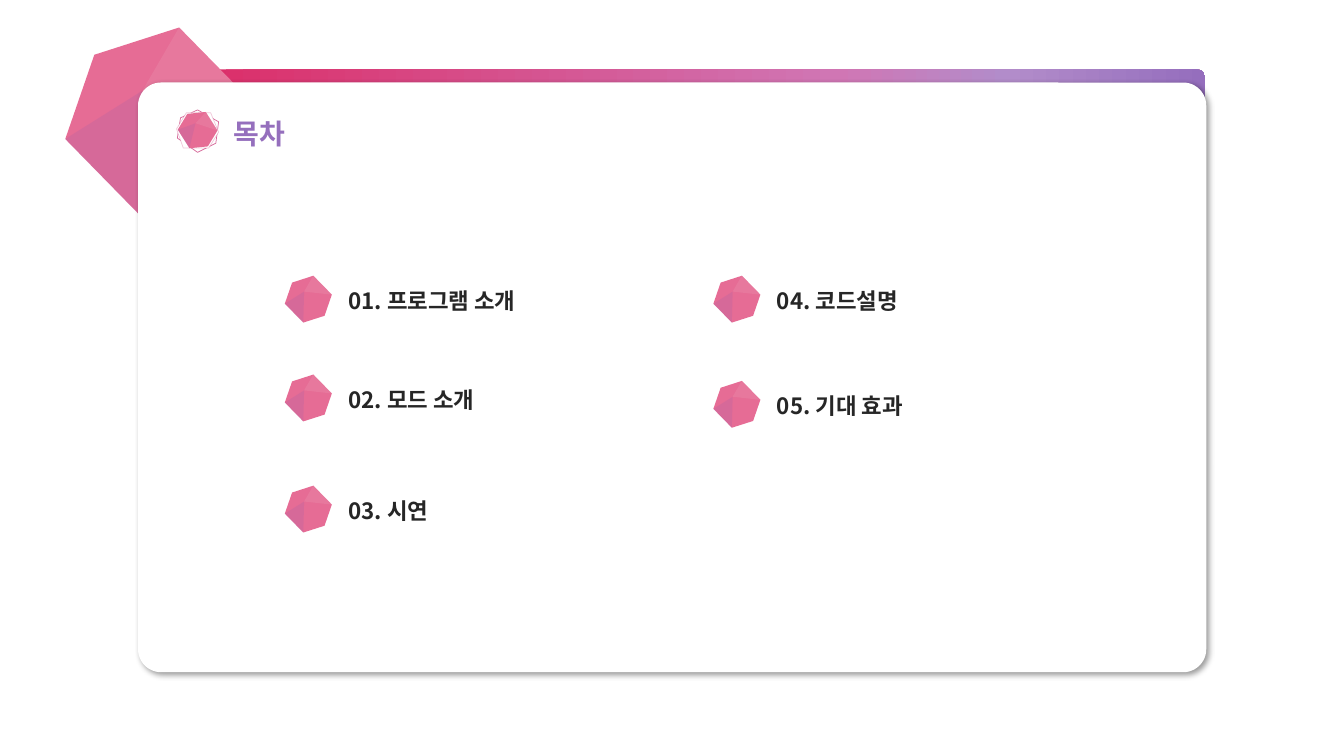
from copy import deepcopy
from dataclasses import dataclass
from math import cos, radians, sin

from lxml import etree
from pptx import Presentation
from pptx.dml.color import RGBColor
from pptx.enum.shapes import MSO_SHAPE
from pptx.enum.text import MSO_ANCHOR, MSO_AUTO_SIZE, PP_ALIGN
from pptx.oxml.ns import qn
from pptx.util import Cm, Pt

HEX = MSO_SHAPE.HEXAGON
ROUND = MSO_SHAPE.ROUNDED_RECTANGLE
TOP = MSO_ANCHOR.TOP
GROW = MSO_AUTO_SIZE.SHAPE_TO_FIT_TEXT
LEFT = PP_ALIGN.LEFT

FONT = "Noto Sans CJK KR"
PINK, LIGHT, SHADE, RIM = "E66C95", "EA86A7", "945DAD", "D7699A"
WHITE, INK, PURPLE = "FFFFFF", "262626", "956FBD"
STOPS = [(0, "DB2F6A"), (0.63, "D076B4"), (0.8, "B28CCA"), (1, "956EBD")]


@dataclass
class Gem:
    x: float
    y: float
    width: float
    turn: float = 45.6


@dataclass
class Item:
    text: str
    x: float
    y: float
    width: float


@dataclass
class Ring:
    points: list
    alpha: int


COLS = (7.77, 18.57)
ITEMS = [
    Item("01. 프로그램 소개", COLS[0], 7.54, 5.16),
    Item("02. 모드 소개", COLS[0], 10.03, 4.01),
    Item("03. 시연", COLS[0], 12.83, 2.67),
    Item("04. 코드설명", COLS[1], 7.54, 3.81),
    Item("05. 기대 효과", COLS[1], 10.19, 4.01),
]
RINGS = [
    Ring([(4.47, 3.48), (4.55, 2.97), (4.98, 2.77),
          (5.51, 3.07), (5.44, 3.61), (4.98, 3.84)], 100),
    Ring([(4.62, 3.73), (4.45, 3.25), (4.7, 2.84),
          (5.31, 2.84), (5.51, 3.33), (5.26, 3.73)], 36),
]


def paint(color, code: str, alpha: int = 100) -> None:
    """Set a colour format from a hex string and an opacity in percent."""
    color.rgb = RGBColor.from_string(code)
    if alpha < 100:
        node = color._xFill.find(qn("a:srgbClr"))
        etree.SubElement(node, qn("a:alpha"), val=str(alpha * 1000))


def style(shape, code: str, alpha: int = 100) -> None:
    """Give a shape a plain fill with no line or shadow."""
    shape.shadow.inherit = False
    shape.line.fill.background()
    shape.fill.solid()
    paint(shape.fill.fore_color, code, alpha)


def outline(shapes, points: list):
    """Draw a closed outline through points in centimetres."""
    ends = [(Cm(x), Cm(y)) for x, y in points]
    pen = shapes.build_freeform(*ends[0], scale=1.0)
    pen.add_line_segments(ends[1:], close=True)
    return pen.convert_to_shape()


def block(shapes, kind, x: float, y: float, w: float, h: float):
    return shapes.add_shape(kind, Cm(x), Cm(y), Cm(w), Cm(h))


def draw_gem(shapes, gem: Gem) -> None:
    """Draw a turned hexagon with a light and a dark facet."""
    w, h = gem.width, gem.width * 0.86
    body = block(shapes, HEX, gem.x - w / 2, gem.y - h / 2, w, h)
    body.rotation = gem.turn
    style(body, PINK)
    c, s = cos(radians(gem.turn)), sin(radians(gem.turn))
    hub, side = (-0.18 * w, -0.05 * w), w / 2 - h / 4
    for edge, code, alpha in ((-h / 2, LIGHT, 49), (h / 2, SHADE, 19)):
        spots = [hub, (-side, edge), (side, edge)]
        facet = outline(shapes, [(gem.x + x * c - y * s, gem.y + x * s + y * c)
                                 for x, y in spots])
        style(facet, code, alpha)


def write(box, text: str, *, size: int, code: str) -> None:
    frame = box.text_frame
    frame.word_wrap = False
    frame.auto_size = GROW
    frame.vertical_anchor = TOP
    line = frame.paragraphs[0]
    line.alignment = LEFT
    run = line.add_run()
    run.text = text
    run.font.size = Pt(size)
    run.font.bold = True
    run.font.name = FONT
    paint(run.font.color, code)
    etree.SubElement(run._r.get_or_add_rPr(), qn("a:ea"), typeface=FONT)


def draw_bar(shapes) -> None:
    bar = block(shapes, ROUND, 5.28, 1.75, 25.1, 1.3)
    bar.shadow.inherit = False
    bar.line.fill.background()
    bar.fill.gradient()
    bar.fill.gradient_angle = 0
    stops = bar._element.spPr.find(qn("a:gradFill")).find(qn("a:gsLst"))
    for _ in STOPS[2:]:
        stops.append(deepcopy(stops[0]))
    for stop, (place, code) in zip(bar.fill.gradient_stops, STOPS):
        stop.position = place
        paint(stop.color, code)


def draw_card(shapes) -> None:
    card = block(shapes, ROUND, 3.48, 2.08, 26.92, 14.86)
    card.adjustments[0] = 0.039
    style(card, WHITE)
    cast = etree.SubElement(
        card._element.spPr.find(qn("a:effectLst")), qn("a:outerShdw"),
        blurRad=str(Pt(4)), dist=str(Pt(3)), dir="2700000",
        algn="tl", rotWithShape="0")
    tint = etree.SubElement(cast, qn("a:srgbClr"), val="000000")
    etree.SubElement(tint, qn("a:alpha"), val="40000")


def draw_badge(shapes) -> None:
    """Draw the ringed gem beside the title."""
    for ring in RINGS:
        shape = outline(shapes, ring.points)
        style(shape, WHITE)
        shape.line.width = Pt(0.5)
        shape.line.fill.solid()
        paint(shape.line.fill.fore_color, RIM, ring.alpha)
    draw_gem(shapes, Gem(4.98, 3.28, 0.97, 57.7))


def main() -> None:
    deck = Presentation()
    deck.slide_width, deck.slide_height = Cm(33.87), Cm(19.05)
    slide = deck.slides.add_slide(deck.slide_layouts[5])
    shapes = slide.shapes

    head = shapes.add_group_shape().shapes
    draw_bar(head)
    draw_gem(head, Gem(4.01, 3.05, 4.67))
    draw_card(shapes)

    title = shapes.title
    title.left, title.top = Cm(5.64), Cm(2.82)
    title.width, title.height = Cm(1.93), Cm(1.12)
    write(title, "목차", size=20, code=PURPLE)
    shapes._spTree.append(title._element)
    draw_badge(shapes.add_group_shape().shapes)

    for item in ITEMS:
        draw_gem(shapes.add_group_shape().shapes, Gem(item.x, item.y, 1.17))
        box = shapes.add_textbox(Cm(item.x + 0.76), Cm(item.y - 0.43),
                                 Cm(item.width), Cm(0.94))
        write(box, item.text, size=16, code=INK)

    deck.save("out.pptx")


if __name__ == "__main__":
    main()
